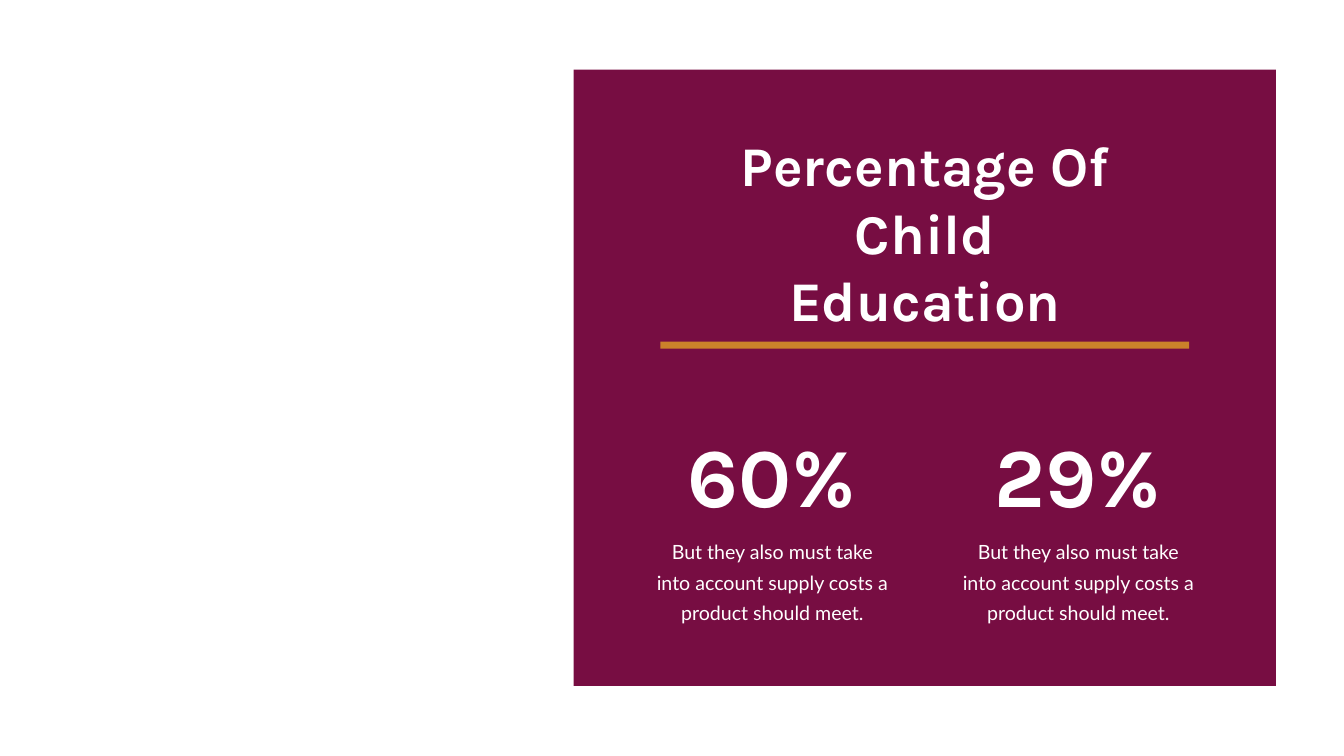
from pptx import Presentation
from pptx.dml.color import RGBColor
from pptx.enum.shapes import MSO_SHAPE as Shape
from pptx.enum.text import MSO_AUTO_SIZE as AutoSize, PP_ALIGN as Align
from pptx.util import Inches, Pt


def color(value):
    return RGBColor.from_string(value)


def add_text(text, left, top, width, height, font, size, bold=False):
    box = page.shapes.add_textbox(Inches(left), Inches(top), Inches(width), Inches(height))
    frame = box.text_frame
    frame.word_wrap = True
    frame.auto_size = AutoSize.SHAPE_TO_FIT_TEXT
    para = frame.paragraphs[0]
    para.alignment = Align.CENTER
    span = para.add_run()
    span.text = text
    span.font.name = font
    span.font.size = Pt(size)
    span.font.bold = bold
    span.font.color.rgb = color("FFFFFF")
    return frame


deck = Presentation()
deck.slide_width = Inches(26.66)
deck.slide_height = Inches(15)
page = deck.slides.add_slide(deck.slide_layouts[6])

# Panel and the rule under the title
for left, top, width, height, fill in [
    (11.38, 1.38, 13.93, 12.23, "770D42"),
    (13.1, 6.78, 10.49, 0.14, "CB822A"),
]:
    bar = page.shapes.add_shape(
        Shape.RECTANGLE, Inches(left), Inches(top), Inches(width), Inches(height))
    bar.shadow.inherit = False
    bar.fill.solid()
    bar.fill.fore_color.rgb = color(fill)
    bar.line.fill.background()

# Title
add_text("Percentage Of Child Education", 14.28, 2.55, 8.14, 2.79, "Karla", 80, True)

# Two figures, each with its caption
caption = "But they also must take into account supply costs a product should meet."
for left, figure in [(12.75, "60%"), (18.82, "29%")]:
    add_text(figure, left, 8.35, 5.13, 2.12, "Karla", 120, True)
    frame = add_text(caption, left, 10.47, 5.14, 1.98, "Lato", 28)
    frame.margin_left = frame.margin_right = Inches(0.24)
    frame.margin_top = frame.margin_bottom = Inches(0.12)
    frame.paragraphs[0].line_spacing = Pt(43)

deck.save("out.pptx")
